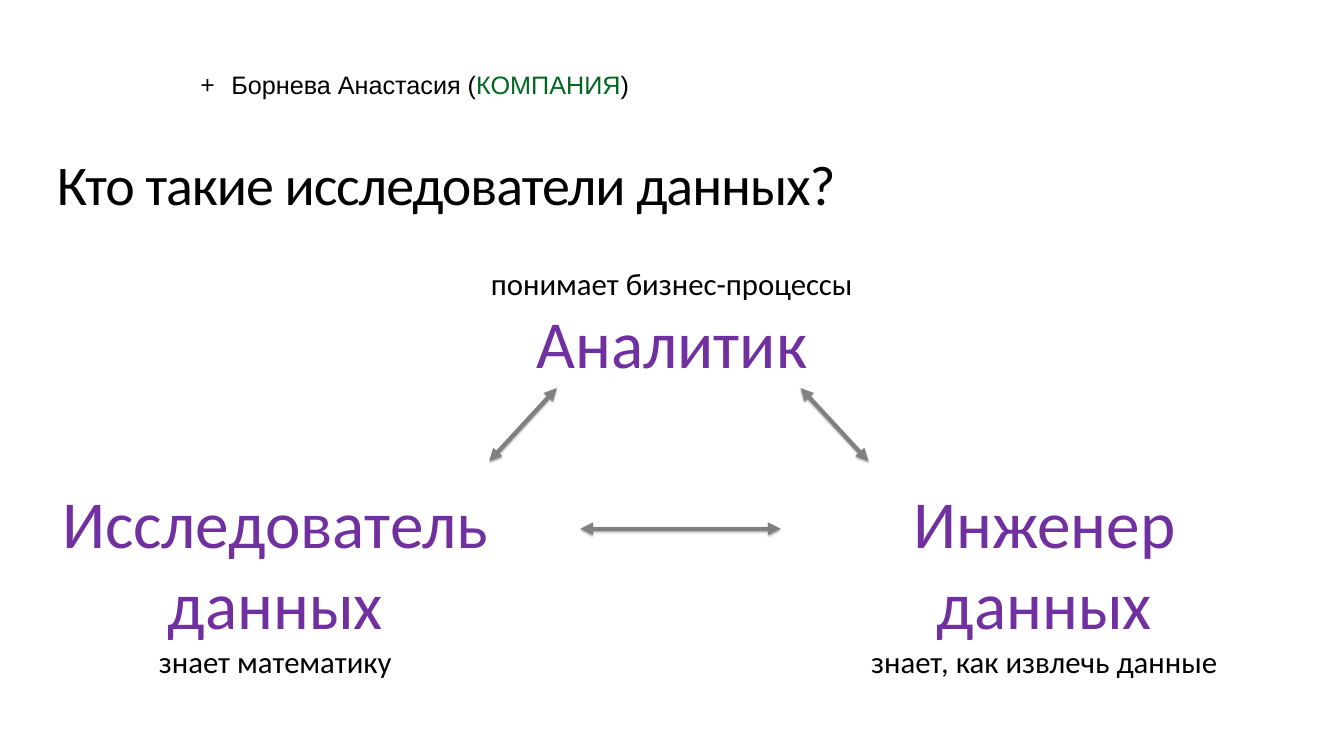
import pptx
import pptx.util
import pptx.dml.color
import pptx.enum.shapes
import pptx.enum.text
import pptx.oxml
import pptx.oxml.ns

Inches = pptx.util.Inches
Pt = pptx.util.Pt
RGBColor = pptx.dml.color.RGBColor
ALIGN = pptx.enum.text.PP_ALIGN
ANCHOR = pptx.enum.text.MSO_ANCHOR

BLACK = RGBColor(0x00, 0x00, 0x00)
GREEN = RGBColor(0x00, 0x66, 0x20)
PURPLE = RGBColor(0x70, 0x30, 0xA0)
GRAY = RGBColor(0x80, 0x80, 0x80)
NS = pptx.oxml.ns.nsdecls("a")
SHADOW = (
    f'<a:effectLst {NS}><a:outerShdw blurRad="{Pt(3)}" dist="{Pt(1.8)}" dir="5400000" '
    'rotWithShape="0"><a:srgbClr val="000000"><a:alpha val="35000"/></a:srgbClr>'
    '</a:outerShdw></a:effectLst>'
)


def add_text(slide, box, lines, font="Calibri", align=ALIGN.CENTER, anchor=ANCHOR.TOP, inset=0.08):
    """Place a text box whose lines are lists of (text, size, colour) runs."""
    frame = slide.shapes.add_textbox(*map(Inches, box)).text_frame
    frame.word_wrap = True
    frame.vertical_anchor = anchor
    frame.margin_left = frame.margin_right = Inches(inset)
    frame.margin_top = frame.margin_bottom = Inches(inset)
    for i, line in enumerate(lines):
        para = frame.paragraphs[0] if i == 0 else frame.add_paragraph()
        para.alignment = align
        for text, size, color in line:
            run = para.add_run()
            run.text = text
            run.font.name = font
            run.font.size = Pt(size)
            run.font.color.rgb = color
    return frame


def add_title(slide, box):
    """Place the heading with tight letters and tall lines."""
    frame = add_text(slide, box, [[("Кто такие исследователи данных?", 80, BLACK)]],
                     align=ALIGN.LEFT, anchor=ANCHOR.MIDDLE)
    para = frame.paragraphs[0]
    para.line_spacing = 2.2
    para.runs[0].font._element.set("spc", "-150")


def add_credit(slide, box):
    """Place the plus sign and the speaker line in the given box."""
    left, top, width, height = box
    add_text(slide, (left, top, 0.42, height), [[("+", 36, BLACK)]],
             font="Open Sans", anchor=ANCHOR.MIDDLE, inset=0.06)
    name = [("Борнева Анастасия (", 36, BLACK), ("КОМПАНИЯ", 36, GREEN), (")", 36, BLACK)]
    add_text(slide, (left + 0.63, top, width - 0.63, height), [name],
             font="Arial", align=ALIGN.LEFT, inset=0.05)


def add_arrow(slide, start, end):
    """Draw a gray line with a head at both ends and a soft shadow."""
    line = slide.shapes.add_connector(
        pptx.enum.shapes.MSO_CONNECTOR.STRAIGHT, *map(Inches, start + end))
    line.line.color.rgb = GRAY
    line.line.width = Pt(6)
    for tag in ("headEnd", "tailEnd"):
        line.line._get_or_add_ln().append(
            pptx.oxml.parse_xml(f'<a:{tag} {NS} type="triangle"/>'))
    line._element.spPr.append(pptx.oxml.parse_xml(SHADOW))


def add_roles(slide, box):
    """Place three roles as a triangle joined by arrows."""
    left, top, width, height = box
    low = top + 4.3
    part = 8.27
    add_text(slide, (left + 8.7, top, part, 2.51),
             [[("понимает бизнес-процессы", 44, BLACK)], [("Аналитик", 96, PURPLE)]])
    pairs = (
        (left, 9.93, "Исследователь данных", "знает математику"),
        (left + width - part, part, "Инженер данных", "знает, как извлечь данные"),
    )
    for x, wide, role, skill in pairs:
        add_text(slide, (x, low, wide, height - 4.3),
                 [[(role, 96, PURPLE)], [(skill, 44, BLACK)]])
    mid = left + 12.97
    for side in (-1, 1):
        add_arrow(slide, (mid + side * 2.42, top + 2.53), (mid + side * 3.76, top + 3.98))
    add_arrow(slide, (left + 11.02, top + 5.32), (left + 14.99, top + 5.32))


deck = pptx.Presentation()
deck.slide_width = Inches(26.67)
deck.slide_height = Inches(15)
page = deck.slides.add_slide(deck.slide_layouts[6])
add_title(page, (1.05, 1.49, 17.91, 2.68))
add_credit(page, (3.91, 1.32, 10.61, 0.72))
add_roles(page, (0.5, 5.17, 24.36, 8.43))
deck.save("out.pptx")
